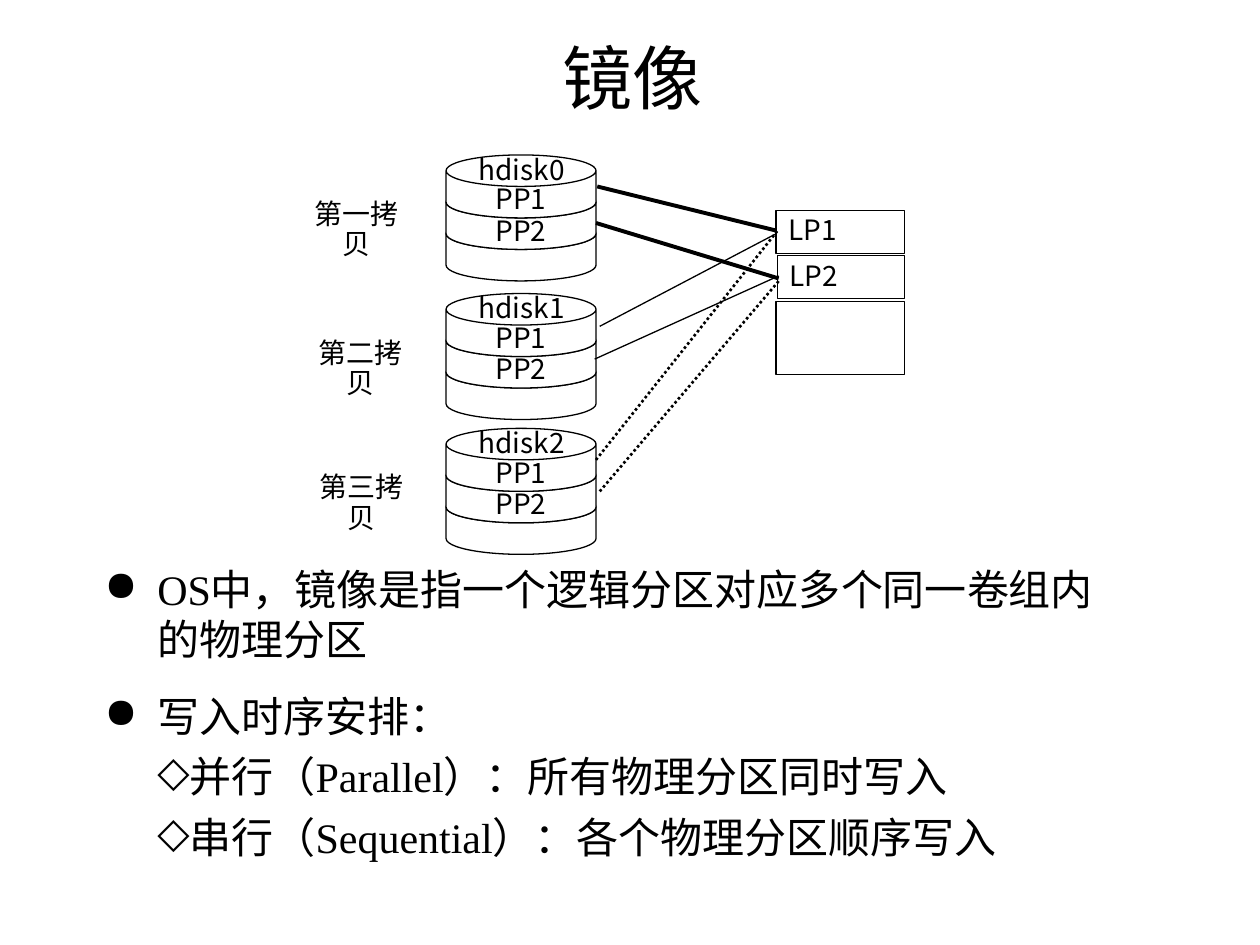
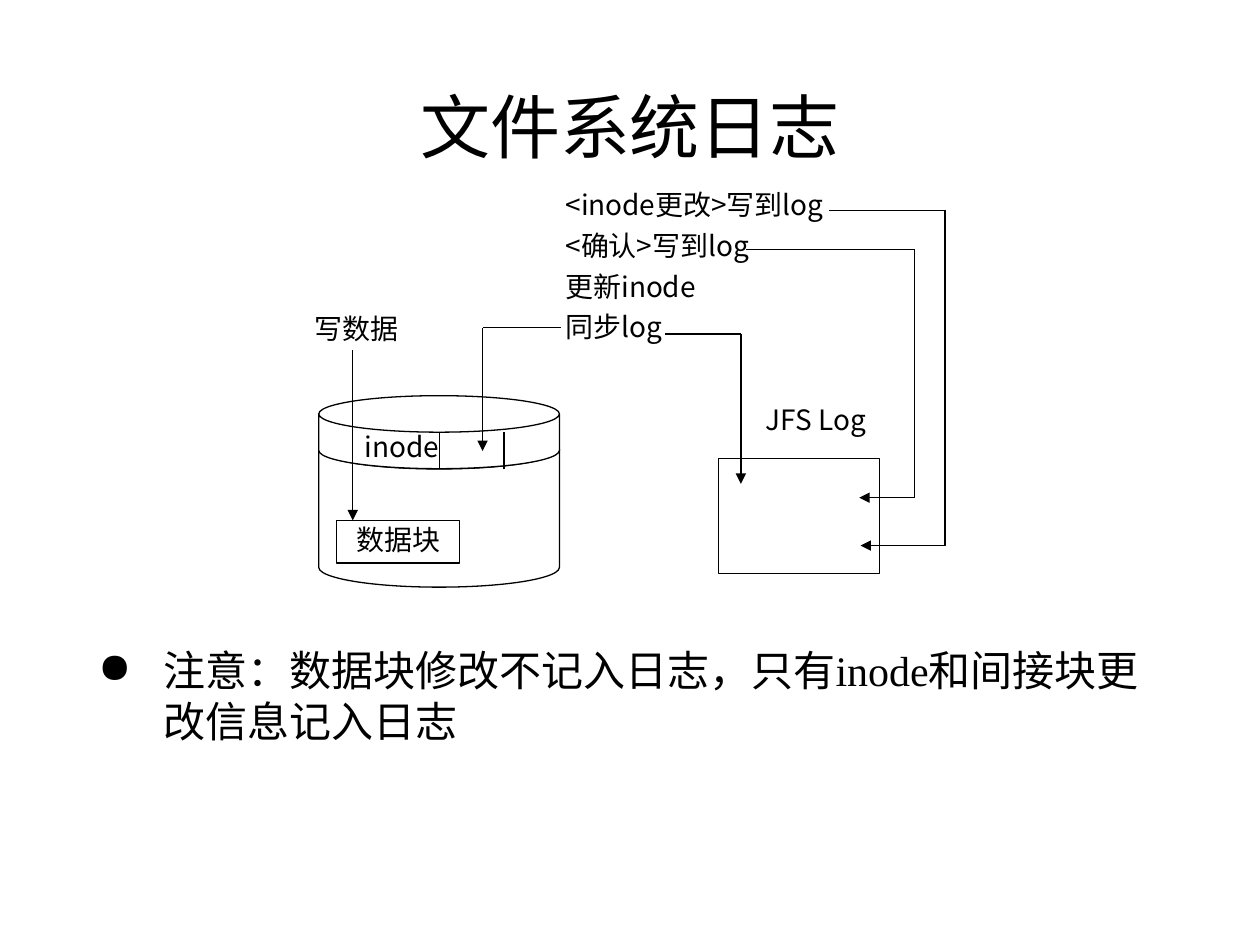
from dataclasses import dataclass
from itertools import pairwise
from typing import Any, NamedTuple

from lxml import etree
from pptx import Presentation
from pptx.dml.color import RGBColor
from pptx.enum.dml import MSO_LINE
from pptx.enum.shapes import MSO_CONNECTOR, MSO_SHAPE
from pptx.enum.text import MSO_ANCHOR, MSO_AUTO_SIZE, PP_ALIGN
from pptx.oxml.ns import qn
from pptx.util import Pt

# Shared constants
PX = 9144  # EMU per px, 100 px to the inch
BLACK = RGBColor(0x00, 0x00, 0x00)
WHITE = RGBColor(0xFF, 0xFF, 0xFF)
SANS = "Noto Sans CJK SC"
SERIF = "Times New Roman"
CAN = MSO_SHAPE.CAN
RECTANGLE = MSO_SHAPE.RECTANGLE
STRAIGHT = MSO_CONNECTOR.STRAIGHT
DOTTED = MSO_LINE.ROUND_DOT
LEFT, CENTER = PP_ALIGN.LEFT, PP_ALIGN.CENTER
TOP, MIDDLE = MSO_ANCHOR.TOP, MSO_ANCHOR.MIDDLE
FIT_SHAPE, NO_FIT = MSO_AUTO_SIZE.SHAPE_TO_FIT_TEXT, MSO_AUTO_SIZE.NONE
TITLE_ONLY = 5


class Box(NamedTuple):
    left: int
    top: int
    width: int
    height: int


class Point(NamedTuple):
    x: int
    y: int


@dataclass(frozen=True)
class TextStyle:
    size: int = 16
    font: str = SANS
    alignment: Any = CENTER
    space_before: int = 6
    line_spacing: float = 0.9
    bullet: str = ""
    margin: int = 0
    indent: int = 0
    level: int = 0


@dataclass(frozen=True)
class Disk:
    name: str
    top: int
    copy_name: str
    copy_left: int


@dataclass(frozen=True)
class Mapping:
    start: Point
    end: Point
    width: float
    dash: Any = None


LABEL = TextStyle()
STEP = TextStyle(alignment=LEFT)
TITLE = TextStyle(size=40, font=SERIF, line_spacing=1.0)
POINT = TextStyle(24, SERIF, LEFT, 15, 1.0, "●", 42, -42)
SUBPOINT = TextStyle(24, SERIF, LEFT, 9, 0.9, "◇", 63, -21, 1)
NOTE = TextStyle(24, SERIF, LEFT, 15, 1.0, "●", 52, -52)

FRAME = {"word_wrap": True, "margin_left": 10 * PX, "margin_right": 10 * PX,
         "margin_top": 5 * PX, "margin_bottom": 5 * PX,
         "vertical_anchor": TOP, "auto_size": FIT_SHAPE}
CAN_FRAME = FRAME | {"margin_top": 10 * PX, "margin_bottom": 0,
                     "vertical_anchor": MIDDLE, "auto_size": NO_FIT}
TITLE_FRAME = FRAME | {"vertical_anchor": MIDDLE, "auto_size": NO_FIT}

# Mirroring slide
PARTITION_HEIGHT = 50
PARTITION_STEP = 25
DISKS = [
    Disk("hdisk0", 123, "第一拷贝", 232),
    Disk("hdisk1", 233, "第二拷贝", 235),
    Disk("hdisk2", 340, "第三拷贝", 236),
]
LOGICAL_PARTITIONS = [
    ("LP1", Box(616, 167, 102, 34)),
    ("LP2", Box(617, 203, 101, 34)),
    ("", Box(616, 239, 102, 58)),
]
MAPPINGS = [
    Mapping(Point(474, 148), Point(616, 183), 2.25),
    Mapping(Point(473, 177), Point(618, 221), 2.25),
    Mapping(Point(476, 259), Point(615, 186), 0.75),
    Mapping(Point(472, 285), Point(618, 219), 0.75),
    Mapping(Point(473, 365), Point(618, 182), 1.5, DOTTED),
    Mapping(Point(476, 390), Point(619, 222), 1.5, DOTTED),
]
MIRROR_POINTS = [
    ("OS中，镜像是指一个逻辑分区对应多个同一卷组内的物理分区", POINT),
    ("写入时序安排：", POINT),
    ("并行（Parallel）：所有物理分区同时写入", SUBPOINT),
    ("串行（Sequential）：各个物理分区顺序写入", SUBPOINT),
]

# Journal slide
INODE_DIVIDERS = [349, 400]
JOURNAL_LABELS = [
    ("inode", Box(270, 339, 98, 34)),
    ("写数据", Box(234, 245, 98, 34)),
    ("JFS Log", Box(593, 318, 109, 34)),
]
JOURNAL_STEPS = ["<inode更改>写到log", "<确认>写到log", "更新inode", "同步log"]
ROUTES = [
    [Point(280, 278), Point(280, 413)],
    [Point(658, 167), Point(750, 167), Point(750, 433), Point(683, 433)],
    [Point(592, 198), Point(726, 198), Point(726, 395), Point(682, 395)],
    [Point(528, 265), Point(588, 265), Point(588, 384)],
    [Point(445, 260), Point(383, 260), Point(383, 358)],
]
JOURNAL_NOTE = "注意：数据块修改不记入日志，只有inode和间接块更改信息记入日志"


def apply_format(target: Any, values: dict[str, Any]) -> None:
    for name, value in values.items():
        setattr(target, name, value)


def scale(lengths: tuple[int, ...]) -> list[int]:
    return [length * PX for length in lengths]


def add_bullet(paragraph: Any, style: TextStyle) -> None:
    properties = paragraph._p.get_or_add_pPr()
    properties.set("marL", str(style.margin * PX))
    properties.set("indent", str(style.indent * PX))
    color = etree.SubElement(properties, qn("a:buClr"))
    etree.SubElement(color, qn("a:srgbClr"), val=str(BLACK))
    etree.SubElement(properties, qn("a:buChar"), char=style.bullet)


def write_text(shape: Any, lines: list[tuple[str, TextStyle]],
               frame_format: dict[str, Any] = FRAME) -> None:
    frame = shape.text_frame
    apply_format(frame, frame_format)
    for index, (text, style) in enumerate(lines):
        paragraph = frame.add_paragraph() if index else frame.paragraphs[0]
        if style.bullet:
            add_bullet(paragraph, style)
        apply_format(paragraph, {
            "alignment": style.alignment, "level": style.level,
            "line_spacing": style.line_spacing,
            "space_before": Pt(style.space_before if index else 0)})
        run = paragraph.add_run()
        run.text = text
        apply_format(run.font, {"size": Pt(style.size), "name": style.font})
        run.font.color.rgb = BLACK
        etree.SubElement(run._r.get_or_add_rPr(), qn("a:ea"), typeface=SANS)


def add_title_slide(presentation: Any, title: str, box: Box) -> Any:
    slide = presentation.slides.add_slide(presentation.slide_layouts[TITLE_ONLY])
    slide.background.fill.solid()
    slide.background.fill.fore_color.rgb = WHITE
    placeholder = slide.shapes.title
    apply_format(placeholder, dict(zip(Box._fields, scale(box))))
    write_text(placeholder, [(title, TITLE)], TITLE_FRAME)
    return slide


def add_text(slide: Any, box: Box, lines: list[tuple[str, TextStyle]]) -> None:
    write_text(slide.shapes.add_textbox(*scale(box)), lines)


def add_outlined(slide: Any, kind: Any, box: Box) -> Any:
    shape = slide.shapes.add_shape(kind, *scale(box))
    shape.shadow.inherit = False
    shape.line.color.rgb = BLACK
    shape.line.width = Pt(0.75)
    return shape


def add_can(slide: Any, box: Box, rim: float, text: str = "") -> None:
    shape = add_outlined(slide, CAN, box)
    shape.adjustments[0] = rim
    shape.fill.solid()
    shape.fill.fore_color.rgb = WHITE
    if text:
        write_text(shape, [(text, LABEL)], CAN_FRAME)


def add_rectangle(slide: Any, box: Box, text: str = "",
                  style: TextStyle = LABEL) -> None:
    shape = add_outlined(slide, RECTANGLE, box)
    shape.fill.background()
    if text:
        write_text(shape, [(text, style)])


def add_line(slide: Any, start: Point, end: Point, width: float = 0.75,
             dash: Any = None, arrow: bool = False) -> None:
    connector = slide.shapes.add_connector(STRAIGHT, *scale(start + end))
    connector.line.color.rgb = BLACK
    apply_format(connector.line, {"width": Pt(width), "dash_style": dash})
    if arrow:
        etree.SubElement(connector.line._get_or_add_ln(), qn("a:tailEnd"),
                         type="triangle")
    etree.SubElement(connector._element.spPr, qn("a:effectLst"))


def add_disk(slide: Any, disk: Disk) -> None:
    # The lowest partition goes in first so each one above overlaps it
    for row, text in reversed(list(enumerate(["PP1", "PP2", ""]))):
        top = disk.top + row * PARTITION_STEP
        add_can(slide, Box(354, top, 119, PARTITION_HEIGHT), 0.5, text)
    add_text(slide, Box(363, disk.top - 4, 102, 34), [(disk.name, LABEL)])
    add_text(slide, Box(disk.copy_left, disk.top + 31, 102, 58),
             [(disk.copy_name, LABEL)])


def build_mirror_slide(presentation: Any) -> None:
    slide = add_title_slide(presentation, "镜像", Box(77, 28, 850, 65))
    for disk in DISKS:
        add_disk(slide, disk)
    for name, box in LOGICAL_PARTITIONS:
        add_rectangle(slide, box, name, STEP)
    for mapping in MAPPINGS:
        add_line(slide, mapping.start, mapping.end, mapping.width, mapping.dash)
    add_text(slide, Box(73, 442, 831, 248), MIRROR_POINTS)


def build_journal_slide(presentation: Any) -> None:
    slide = add_title_slide(presentation, "文件系统日志", Box(75, 67, 850, 65))
    # Disk with its inode band and data block
    add_can(slide, Box(253, 341, 191, 125), 0.25)
    add_can(slide, Box(253, 314, 191, 58), 0.5)
    for x in INODE_DIVIDERS:
        add_line(slide, Point(x, 343), Point(x, 372))
    add_rectangle(slide, Box(267, 413, 98, 34), "数据块")
    # Log area and labels
    add_rectangle(slide, Box(570, 364, 128, 91))
    for text, box in JOURNAL_LABELS:
        add_text(slide, box, [(text, LABEL)])
    add_text(slide, Box(439, 147, 231, 155),
             [(step, STEP) for step in JOURNAL_STEPS])
    # Each route ends in an arrowhead
    for route in ROUTES:
        for start, end in pairwise(route):
            add_line(slide, start, end, arrow=end == route[-1])
    add_text(slide, Box(68, 507, 860, 90), [(JOURNAL_NOTE, NOTE)])


def main() -> None:
    presentation = Presentation()
    apply_format(presentation, {"slide_width": 1000 * PX, "slide_height": 750 * PX})
    build_mirror_slide(presentation)
    build_journal_slide(presentation)
    presentation.save("out.pptx")


if __name__ == "__main__":
    main()
